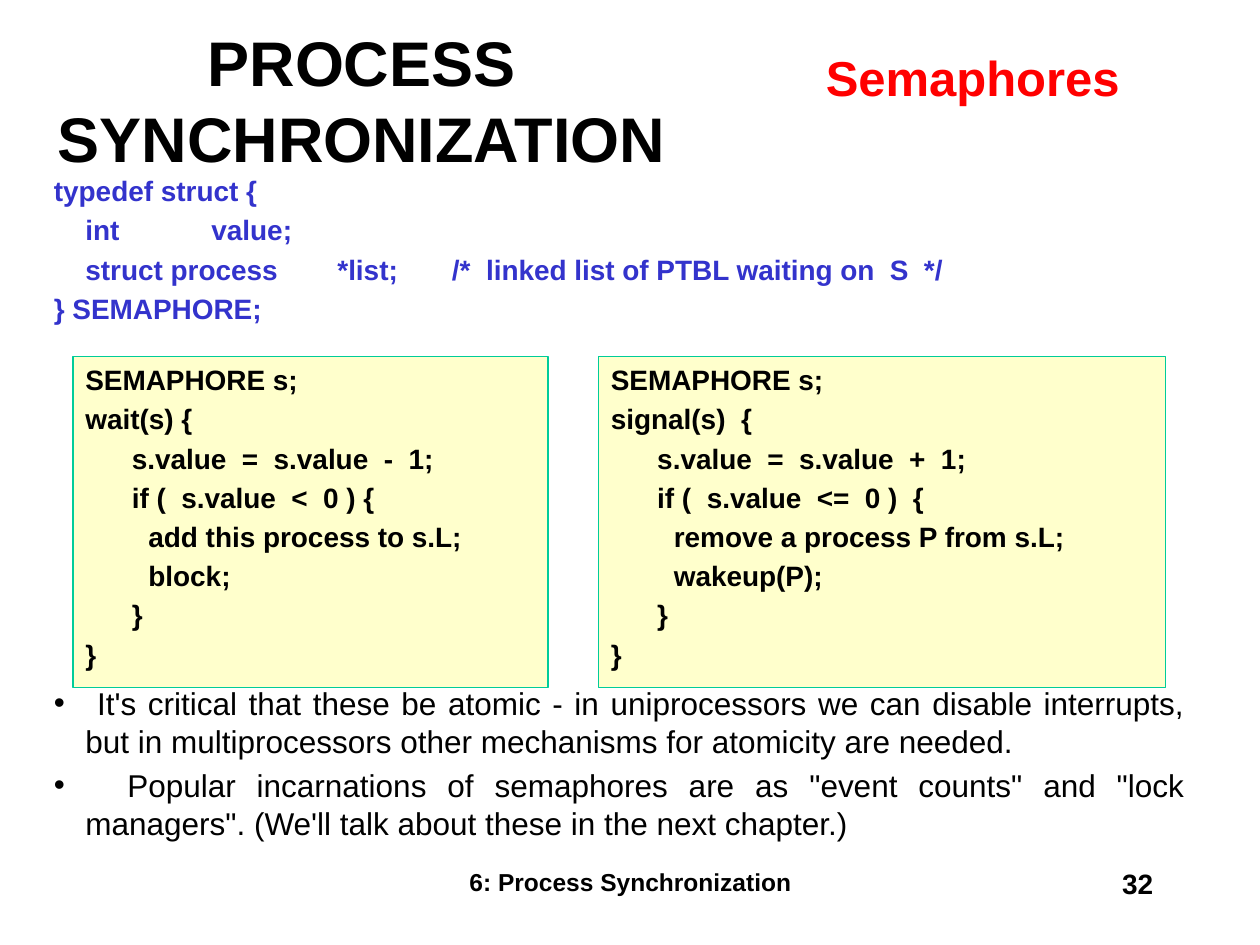
from pptx import Presentation
from pptx.dml.color import RGBColor
from pptx.enum import shapes, text
from pptx.oxml.ns import qn
from pptx.util import Inches, Pt
from lxml import etree

ALIGN = text.PP_ALIGN
STRUCT = [
    "typedef struct {",
    "int\t\tvalue;",
    "struct process\t*list;       /*  linked list of PTBL waiting on  S  */",
    "} SEMAPHORE;",
]
WAIT = [
    "SEMAPHORE s;",
    "wait(s) {",
    "      s.value  =  s.value  -  1;",
    "      if (  s.value  <  0 ) {",
    "      \tadd this process to s.L;",
    "\tblock;",
    "      }",
    "}",
]
SIGNAL = [
    "SEMAPHORE s;",
    "signal(s)  {",
    "      s.value  =  s.value  +  1;",
    "      if (  s.value  <=  0 )  {",
    "\tremove a process P from s.L;",
    "  \twakeup(P);",
    "      }",
    "}",
]
NOTES = [
    " It's critical that these be atomic - in uniprocessors we can disable interrupts, "
    "but in multiprocessors other mechanisms for atomicity are needed.",
    "  Popular incarnations of semaphores are as \"event counts\" and \"lock managers\". "
    "(We'll talk about these in the next chapter.)",
]


def rgb(value):
    return RGBColor.from_string(value)


def write(sp, lines, size, color="000000", bold=True, align=ALIGN.LEFT,
          anchor=text.MSO_ANCHOR.TOP):
    tf = sp.text_frame
    tf.word_wrap = True
    tf.vertical_anchor = anchor
    tf.text = "\n".join(lines)
    for i, p in enumerate(tf.paragraphs):
        p.alignment = align
        p.space_before = Pt(0.2 * size if i else 0)
        for r in p.runs:
            r.font.name = "Arial"
            r.font.size = Pt(size)
            r.font.bold = bold
            r.font.color.rgb = rgb(color)
    return tf


def add_text(s, box, lines, size, **style):
    sp = s.shapes.add_textbox(*map(Inches, box))
    return write(sp, lines, size, **style)


def add_code_box(s, box, lines):
    sp = s.shapes.add_shape(shapes.MSO_SHAPE.RECTANGLE, *map(Inches, box))
    sp.shadow.inherit = False
    sp.fill.solid()
    sp.fill.fore_color.rgb = rgb("FFFFCC")
    sp.line.color.rgb = rgb("00CC99")
    sp.line.width = Pt(0.75)
    write(sp, lines, 16)


def indent(p, left, first=0):
    pPr = p._p.get_or_add_pPr()
    pPr.set("marL", str(Inches(left)))
    pPr.set("indent", str(Inches(first)))
    return pPr


def add_bullets(s, box, lines, size):
    tf = add_text(s, box, lines, size, bold=False, align=ALIGN.JUSTIFY)
    for p in tf.paragraphs:
        pPr = indent(p, 0.25, -0.25)
        etree.SubElement(pPr, qn("a:buFont")).set("typeface", "Arial")
        etree.SubElement(pPr, qn("a:buChar")).set("char", "•")


def main():
    prs = Presentation()
    prs.slide_width, prs.slide_height = Inches(10), Inches(7.5)
    s = prs.slides.add_slide(prs.slide_layouts[6])

    add_text(s, (0.33, 0.33, 5.08, 0.92), ["PROCESS SYNCHRONIZATION"], 36,
             align=ALIGN.CENTER, anchor=text.MSO_ANCHOR.MIDDLE)
    add_text(s, (6.45, 0.33, 2.54, 0.57), ["Semaphores"], 28,
             color="FF0000", align=ALIGN.CENTER)

    tf = add_text(s, (0.33, 1.33, 9.17, 1.4), STRUCT, 16, color="3333CC")
    for p in tf.paragraphs[1:3]:
        indent(p, 0.25)

    add_code_box(s, (0.58, 2.83, 3.77, 2.63), WAIT)
    add_code_box(s, (4.75, 2.83, 4.5, 2.63), SIGNAL)
    add_bullets(s, (0.33, 5.38, 9.17, 1.35), NOTES, 18)

    add_text(s, (3.42, 6.83, 3.17, 0.5), ["6: Process Synchronization"], 14,
             align=ALIGN.CENTER)
    add_text(s, (7.17, 6.83, 2.08, 0.5), ["32"], 16, align=ALIGN.RIGHT)
    prs.save("out.pptx")


if __name__ == "__main__":
    main()
